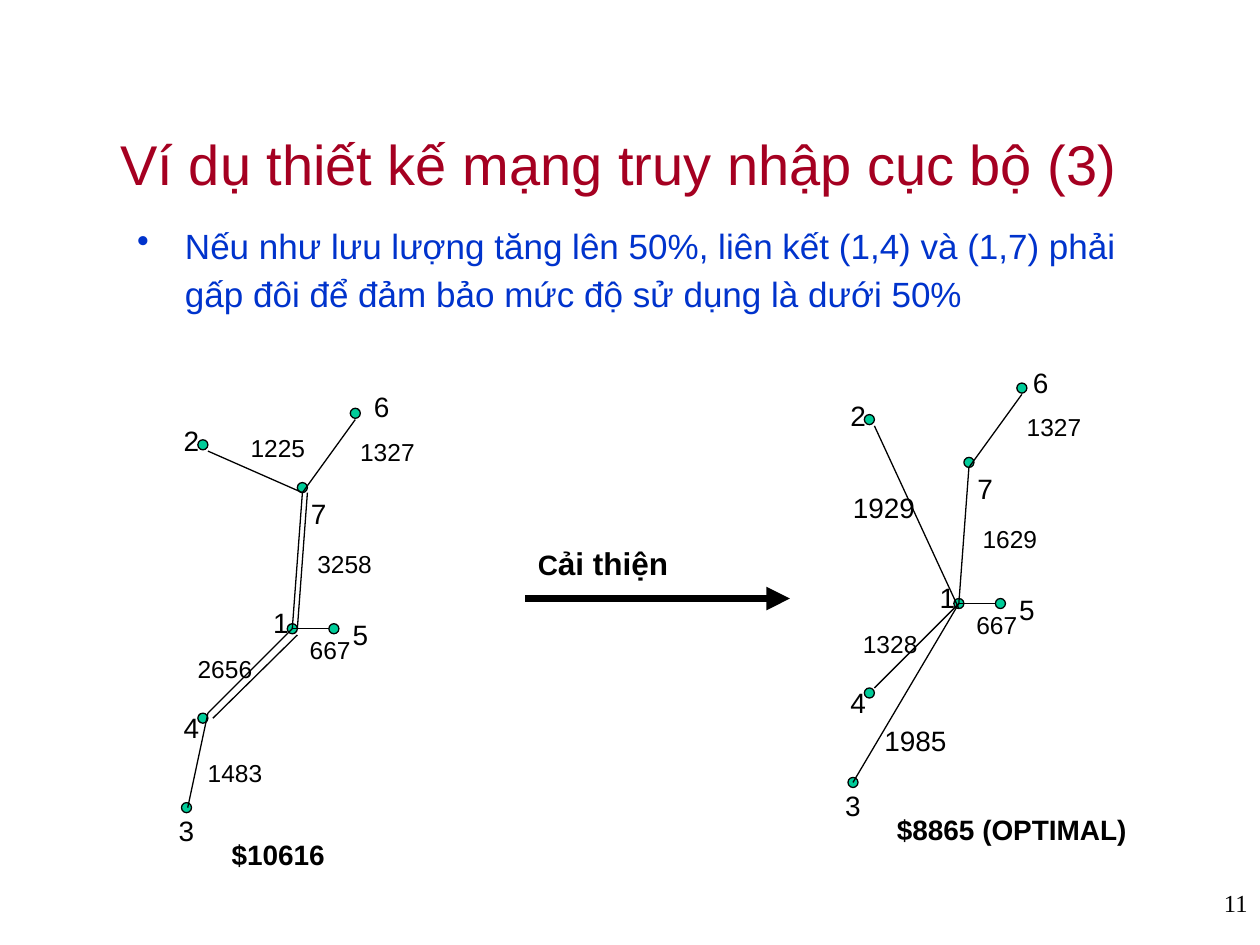
import pptx
import pptx.dml.color
import pptx.enum.shapes
import pptx.enum.text
import pptx.oxml.ns
import pptx.util
from lxml import etree

Inches = pptx.util.Inches
Pt = pptx.util.Pt
ALIGN = pptx.enum.text.PP_ALIGN
ANCHOR = pptx.enum.text.MSO_ANCHOR
FIT = pptx.enum.text.MSO_AUTO_SIZE
COLORS = {"ink": "000000", "title": "A50021", "body": "0033CC", "node": "00CC99"}
DIGIT_WIDTH = 0.556  # share of the font size
NODE_SIZE = 0.08

# Both networks share these places; each network adds its own offset.
NODES = {2: (1.61, 3.53), 7: (2.4, 3.87), 6: (2.82, 3.28), 5: (2.65, 4.99),
         1: (2.32, 4.99), 3: (1.48, 6.41), 4: (1.61, 5.7)}
NODE_LABELS = {1: (2.07, 4.76), 2: (1.36, 3.31), 7: (2.37, 3.89), 6: (2.87, 3.04),
               5: (2.7, 4.85), 4: (1.36, 5.59), 3: (1.32, 6.41)}
SHARED_LINKS = [(2.4, 3.91, 2.32, 4.99), (2.82, 3.33, 2.4, 3.91),
                (2.61, 4.99, 2.32, 4.99), (1.65, 5.66, 2.32, 4.99)]
SHARED_COSTS = [("1327", 2.76, 3.42, 14), ("667", 2.36, 4.99, 14)]

NETWORKS = [
    {"offset": (0, 0), "moved_labels": {},
     "links": [(1.49, 6.41, 1.65, 5.66), (2.4, 3.91, 1.65, 3.58),
               (1.69, 5.7, 2.36, 5.04), (2.44, 3.91, 2.36, 4.99)],
     "costs": [("1225", 1.89, 3.39, 14), ("3258", 2.42, 4.31, 14),
               ("2656", 1.47, 5.14, 14), ("1483", 1.55, 5.97, 14)],
     "total": ("$10616", 1.74, 6.6, 0.94)},
    {"offset": (5.29, -0.2), "moved_labels": {6: (2.81, 3.05)},
     "links": [(1.48, 6.41, 2.32, 4.99), (2.32, 5.03, 1.65, 3.58)],
     "costs": [("1629", 2.41, 4.31, 14), ("1328", 1.46, 5.14, 14),
               ("1929", 1.38, 4.04, 16), ("1985", 1.63, 5.89, 16)],
     "total": ("$8865 (OPTIMAL)", 1.73, 6.6, 2.03)},
]


def color(name):
    return pptx.dml.color.RGBColor.from_string(COLORS[name])


def apply(target, values):
    for name, value in values.items():
        setattr(target, name, value)


class SlideBuilder:
    def __init__(self, page):
        self.page = page

    def font(self, font, size, ink="ink", name="Arial", bold=False):
        apply(font, {"size": Pt(size), "name": name, "bold": bold})
        font.color.rgb = color(ink)

    def title(self, text, left, top, width, height):
        box = self.page.shapes.title
        apply(box, {"left": Inches(left), "top": Inches(top),
                    "width": Inches(width), "height": Inches(height)})
        apply(box.text_frame, {"text": text, "auto_size": FIT.NONE, "word_wrap": True,
                               "vertical_anchor": ANCHOR.MIDDLE})
        para = box.text_frame.paragraphs[0]
        para.alignment = ALIGN.CENTER
        self.font(para.font, 32, "title")

    def paragraph(self, text, left, top, width, height):
        """Add a wrapping box and return its one paragraph."""
        box = self.page.shapes.add_textbox(
            Inches(left), Inches(top), Inches(width), Inches(height))
        box.text_frame.word_wrap = True
        para = box.text_frame.paragraphs[0]
        para.text = text
        return para

    def bullet(self, text, *place):
        para = self.paragraph(text, *place)
        apply(para, {"line_spacing": 1.15, "space_after": Pt(2)})
        properties = para._p.get_or_add_pPr()
        properties.set("marL", str(Inches(0.38)))
        properties.set("indent", str(Inches(-0.38)))
        mark = etree.SubElement(properties, pptx.oxml.ns.qn("a:buChar"))
        mark.set("char", "•")
        self.font(para.font, 20, "body")

    def page_number(self, text, *place):
        para = self.paragraph(text, *place)
        para.alignment = ALIGN.RIGHT
        self.font(para.font, 14, name="Times New Roman")

    def label(self, spans, left, top, width=None, bold=False):
        """Add one unwrapped line of (text, size) spans; the default width suits digits."""
        size = max(points for _, points in spans)
        if width is None:
            width = 0.2 + sum(len(text) * points for text, points in spans) * DIGIT_WIDTH / 72
        box = self.page.shapes.add_textbox(
            Inches(left), Inches(top), Inches(width), Inches(0.1 + size * 1.2 / 72))
        apply(box.text_frame, {"word_wrap": False, "auto_size": FIT.SHAPE_TO_FIT_TEXT})
        for text, points in spans:
            span = box.text_frame.paragraphs[0].add_run()
            span.text = text
            self.font(span.font, points, bold=bold)

    def node(self, x, y):
        dot = self.page.shapes.add_shape(
            pptx.enum.shapes.MSO_SHAPE.OVAL, Inches(x - NODE_SIZE / 2),
            Inches(y - NODE_SIZE / 2), Inches(NODE_SIZE), Inches(NODE_SIZE))
        dot.shadow.inherit = False
        dot.fill.solid()
        dot.fill.fore_color.rgb = color("node")
        dot.line.color.rgb = color("ink")
        dot.line.width = Pt(0.75)

    def line(self, x1, y1, x2, y2, weight=0.75, arrow=False):
        link = self.page.shapes.add_connector(
            pptx.enum.shapes.MSO_CONNECTOR.STRAIGHT,
            Inches(x1), Inches(y1), Inches(x2), Inches(y2))
        link.line.color.rgb = color("ink")
        link.line.width = Pt(weight)
        if arrow:
            head = etree.SubElement(link.line._get_or_add_ln(), pptx.oxml.ns.qn("a:tailEnd"))
            head.set("type", "triangle")
        etree.SubElement(link._element.spPr, pptx.oxml.ns.qn("a:effectLst"))

    def network(self, offset, moved_labels, links, costs, total):
        dx, dy = offset
        for x, y in NODES.values():
            self.node(x + dx, y + dy)
        for x1, y1, x2, y2 in SHARED_LINKS + links:
            self.line(x1 + dx, y1 + dy, x2 + dx, y2 + dy)
        for text, x, y, size in SHARED_COSTS + costs:
            self.label([(text, size)], x + dx, y + dy)
        for number, (x, y) in {**NODE_LABELS, **moved_labels}.items():
            self.label([(str(number), 16)], x + dx, y + dy)
        text, x, y, width = total
        self.label([(text, 16)], x + dx, y + dy, width, bold=True)


def main():
    deck = pptx.Presentation()
    apply(deck, {"slide_width": Inches(10), "slide_height": Inches(7.5)})
    builder = SlideBuilder(deck.slides.add_slide(deck.slide_layouts.get_by_name("Title Only")))
    builder.title("Ví dụ thiết kế mạng truy nhập cục bộ (3)", 0.33, 0.67, 9.17, 1.25)
    builder.bullet("Nếu như lưu lượng tăng lên 50%, liên kết (1,4) và (1,7) phải "
                   "gấp đôi để đảm bảo mức độ sử dụng là dưới 50%", 0.99, 1.68, 8.03, 0.9)
    for network in NETWORKS:
        builder.network(**network)
    builder.line(4.17, 4.75, 6.27, 4.75, weight=4.5, arrow=True)
    builder.label([("C", 16), ("ải thiện", 18)], 4.17, 4.27, 1.24, bold=True)
    builder.page_number("11", 7.92, 7, 2.08, 0.5)
    deck.save("out.pptx")


if __name__ == "__main__":
    main()
